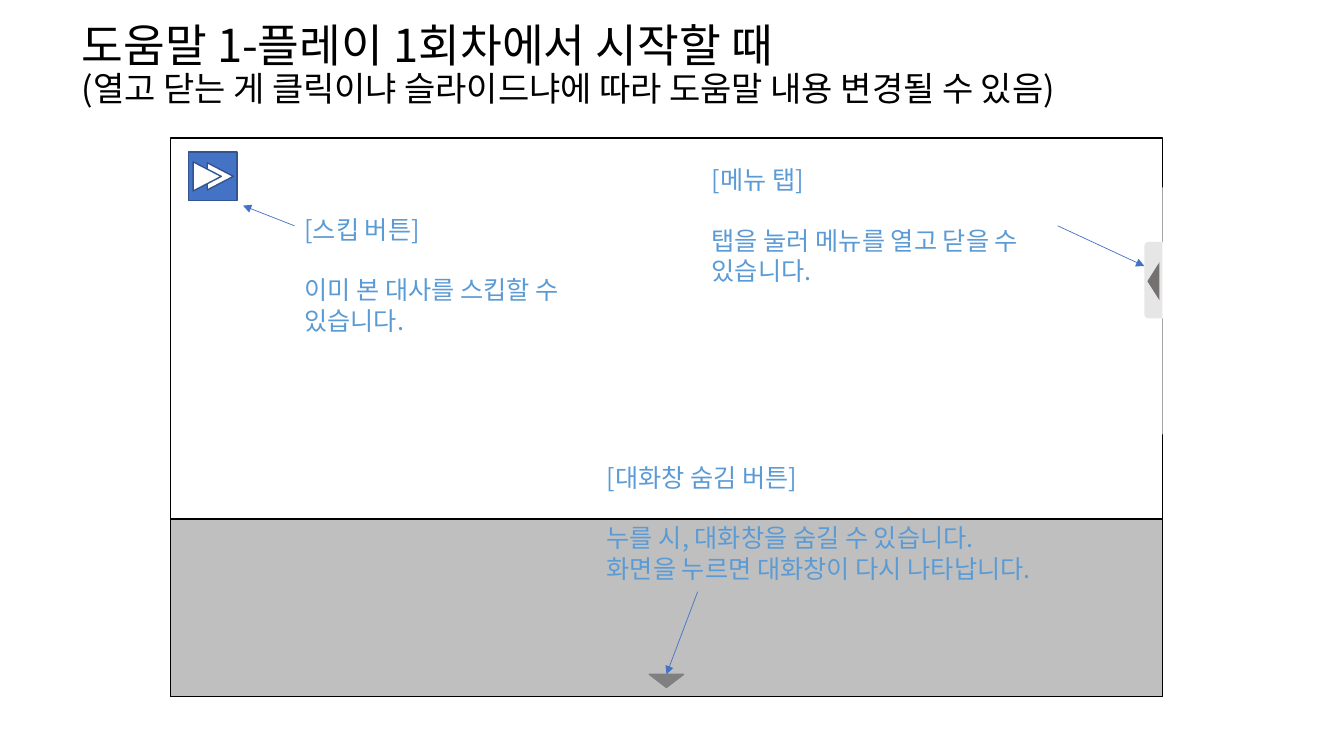
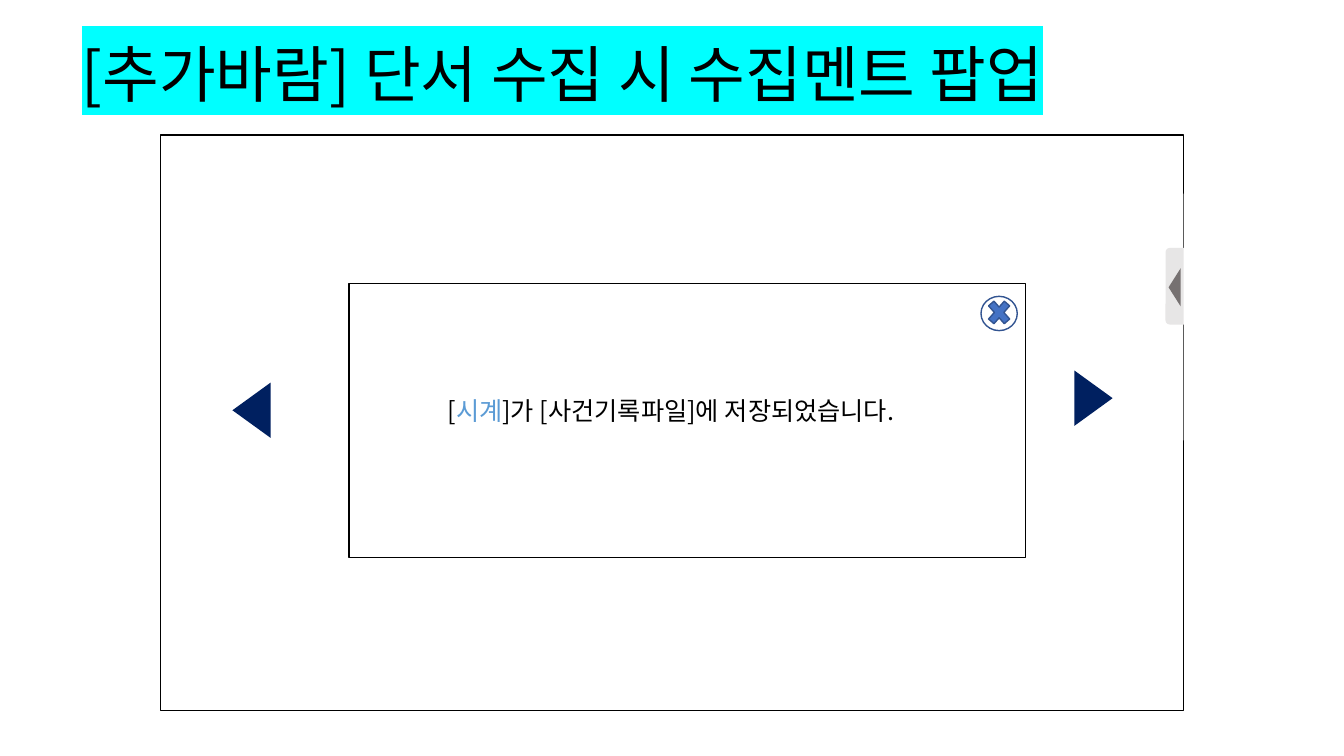
from dataclasses import dataclass
from typing import Optional

from lxml.etree import SubElement
from pptx import Presentation
from pptx.dml.color import RGBColor
from pptx.enum.shapes import MSO_CONNECTOR, MSO_SHAPE as Geo
from pptx.enum.text import MSO_ANCHOR, MSO_AUTO_SIZE, PP_ALIGN
from pptx.oxml.ns import qn
from pptx.util import Inches, Pt


@dataclass(frozen=True)
class Theme:
    """Colours, font and type sizes of the deck."""
    font: str = "Noto Sans CJK KR"
    black: str = "000000"
    white: str = "FFFFFF"
    panel: str = "BFBFBF"
    grey: str = "808080"
    tab: str = "E7E6E6"
    tab_arrow: str = "767171"
    accent: str = "4472C4"
    accent_line: str = "325491"
    help_text: str = "5B9BD5"
    navy: str = "002060"
    highlight: str = "00FFFF"
    title: float = 44
    help_title: float = 32.4
    help_subtitle: float = 24.3
    body: float = 18
    body_line: float = 22
    body_gap: float = 21


@dataclass(frozen=True)
class Box:
    """A preset shape; box is left, top, width, height in inches."""
    geo: Geo
    box: tuple
    fill: Optional[str] = None
    line: Optional[str] = None
    rot: float = 0


@dataclass(frozen=True)
class Callout:
    """A help note with the arrow that points at its control."""
    box: tuple
    heading: str
    lines: tuple
    start: tuple
    end: tuple


T = Theme()


def style_font(font, color: str, size: float) -> None:
    """Set colour, size and both Latin and East Asian typefaces."""
    font.color.rgb = RGBColor.from_string(color)
    font.size = Pt(size)
    font.name = T.font
    SubElement(font._rPr, qn("a:ea")).set("typeface", T.font)


def draw_box(slide, b: Box) -> None:
    """Draw one preset shape."""
    s = slide.shapes.add_shape(b.geo, *map(Inches, b.box))
    s.shadow.inherit = False
    s.rotation = b.rot
    if b.fill:
        s.fill.solid()
        s.fill.fore_color.rgb = RGBColor.from_string(b.fill)
    else:
        s.fill.background()
    if b.line:
        s.line.color.rgb = RGBColor.from_string(b.line)
        s.line.width = Pt(1)
    else:
        s.line.fill.background()


def draw_arrow(slide, start: tuple, end: tuple) -> None:
    """Draw a thin arrow from start to end."""
    c = slide.shapes.add_connector(MSO_CONNECTOR.STRAIGHT, *map(Inches, start + end))
    c.line.color.rgb = RGBColor.from_string(T.accent)
    c.line.width = Pt(0.5)
    sp_pr = c._element.spPr
    SubElement(sp_pr.find(qn("a:ln")), qn("a:tailEnd")).set("type", "triangle")
    SubElement(sp_pr, qn("a:effectLst"))


def add_text(slide, box: tuple):
    """Add a wrapping text box and return its text frame."""
    tf = slide.shapes.add_textbox(*map(Inches, box)).text_frame
    tf.word_wrap = True
    return tf


def style_body(p, color: str) -> None:
    """Give a paragraph the body type."""
    p.line_spacing = Pt(T.body_line)
    style_font(p.font, color, T.body)


def draw_callout(slide, c: Callout) -> None:
    """Draw a help note and its arrow."""
    draw_arrow(slide, c.start, c.end)
    tf = add_text(slide, c.box)
    for i, text in enumerate((c.heading,) + c.lines):
        p = tf.add_paragraph() if i else tf.paragraphs[0]
        p.text = text
        style_body(p, T.help_text)
        if i == 1:
            p.space_before = Pt(T.body_gap)


def title_paragraph(slide, box: tuple, bottom: float = 0.05):
    """Place the title placeholder and return its paragraph."""
    s = slide.shapes.title
    s.left, s.top, s.width, s.height = map(Inches, box)
    tf = s.text_frame
    tf.auto_size = MSO_AUTO_SIZE.NONE
    tf.word_wrap = True
    tf.vertical_anchor = MSO_ANCHOR.MIDDLE
    tf.margin_bottom = Inches(bottom)
    p = tf.paragraphs[0]
    p.alignment = PP_ALIGN.LEFT
    p.line_spacing = 0.9
    return p


def add_run(p, text: str):
    """Append a run to a paragraph."""
    r = p.add_run()
    r.text = text
    return r


def draw_menu_tab(slide, x: float, y: float) -> None:
    """Draw the menu tab; the white cover trims it at the screen edge."""
    for b in (
        Box(Geo.ROUNDED_RECTANGLE, (x, y, 0.25, 0.76), T.tab),
        Box(Geo.ISOSCELES_TRIANGLE, (x - 0.1, y + 0.33, 0.38, 0.12), T.tab_arrow, rot=270),
        Box(Geo.RECTANGLE, (x + 0.18, y - 0.54, 0.93, 2.45), T.white),
    ):
        draw_box(slide, b)


HELP_SCREEN = (
    Box(Geo.RECTANGLE, (1.69, 1.37, 9.84, 5.54), T.white, T.black),
    Box(Geo.RECTANGLE, (1.69, 5.15, 9.84, 1.76), T.panel, T.black),
    Box(Geo.ISOSCELES_TRIANGLE, (6.44, 6.69, 0.34, 0.13), T.grey, T.grey, 180),
    Box(Geo.RECTANGLE, (1.87, 1.51, 0.48, 0.48), T.accent, T.accent_line),
    Box(Geo.ISOSCELES_TRIANGLE, (2.05, 1.62, 0.27, 0.26), T.white, T.accent_line, 90),
    Box(Geo.ISOSCELES_TRIANGLE, (1.91, 1.61, 0.29, 0.28), T.white, T.accent_line, 90),
)
CALLOUTS = (
    Callout((2.92, 2.07, 2.82, 1.31), "[스킵 버튼]",
            ("이미 본 대사를 스킵할 수 있습니다.",), (2.92, 2.24), (2.41, 2.04)),
    Callout((5.92, 4.53, 5.67, 1.31), "[대화창 숨김 버튼]",
            ("누를 시, 대화창을 숨길 수 있습니다.", "화면을 누르면 대화창이 다시 나타납니다."),
            (6.92, 5.87), (6.61, 6.69)),
    Callout((6.96, 1.58, 3.85, 1.31), "[메뉴 탭]",
            ("탭을 눌러 메뉴를 열고 닫을 수 있습니다.",), (10.49, 2.24), (11.35, 2.64)),
)
CLUE_SCREEN = (
    Box(Geo.RECTANGLE, (1.59, 1.34, 10.15, 5.71), line=T.black),
    Box(Geo.ISOSCELES_TRIANGLE, (2.22, 3.88, 0.55, 0.38), T.navy, rot=270),
    Box(Geo.ISOSCELES_TRIANGLE, (10.57, 3.76, 0.55, 0.38), T.navy, rot=90),
)
POPUP = (
    Box(Geo.RECTANGLE, (3.46, 2.81, 6.71, 2.72), T.white, T.black),
    Box(Geo.OVAL, (9.73, 2.94, 0.36, 0.34), line=T.accent_line),
    Box(Geo.MATH_MULTIPLY, (9.76, 2.93, 0.3, 0.34), T.accent, T.accent_line),
)


def build_help(slide) -> None:
    """Build the help slide for the first play-through."""
    p = title_paragraph(slide, (0.71, 0.39, 12.14, 1.12), bottom=0.64)
    r = add_run(p, "도움말 1-플레이 1회차에서 시작할 때")
    style_font(r.font, T.black, T.help_title)
    p.add_line_break()
    r = add_run(p, "(열고 닫는 게 클릭이냐 슬라이드냐에 따라 도움말 내용 변경될 수 있음)")
    style_font(r.font, T.black, T.help_subtitle)
    for b in HELP_SCREEN:
        draw_box(slide, b)
    for c in CALLOUTS:
        draw_callout(slide, c)
    draw_menu_tab(slide, 11.35, 2.4)


def build_clue(slide) -> None:
    """Build the clue pop-up slide."""
    p = title_paragraph(slide, (0.71, 0.04, 11.5, 1.45))
    r = add_run(p, "[추가바람] 단서 수집 시 수집멘트 팝업")
    style_font(r.font, T.black, T.title)
    r_pr = r.font._rPr
    mark = SubElement(r_pr, qn("a:highlight"))
    SubElement(mark, qn("a:srgbClr")).set("val", T.highlight)
    r_pr.find(qn("a:latin")).addprevious(mark)

    for b in CLUE_SCREEN:
        draw_box(slide, b)
    draw_menu_tab(slide, 11.56, 2.46)
    for b in POPUP:
        draw_box(slide, b)
    p = add_text(slide, (4.34, 3.87, 6.18, 0.71)).paragraphs[0]
    style_body(p, T.black)
    add_run(p, "[")
    add_run(p, "시계").font.color.rgb = RGBColor.from_string(T.help_text)
    add_run(p, "]가 [사건기록파일]에 저장되었습니다.")


def main() -> None:
    """Build and save the deck."""
    prs = Presentation()
    prs.slide_width, prs.slide_height = Inches(13.33), Inches(7.5)
    title_only = prs.slide_layouts[5]
    for build in (build_help, build_clue):
        build(prs.slides.add_slide(title_only))
    prs.save("out.pptx")


main()
